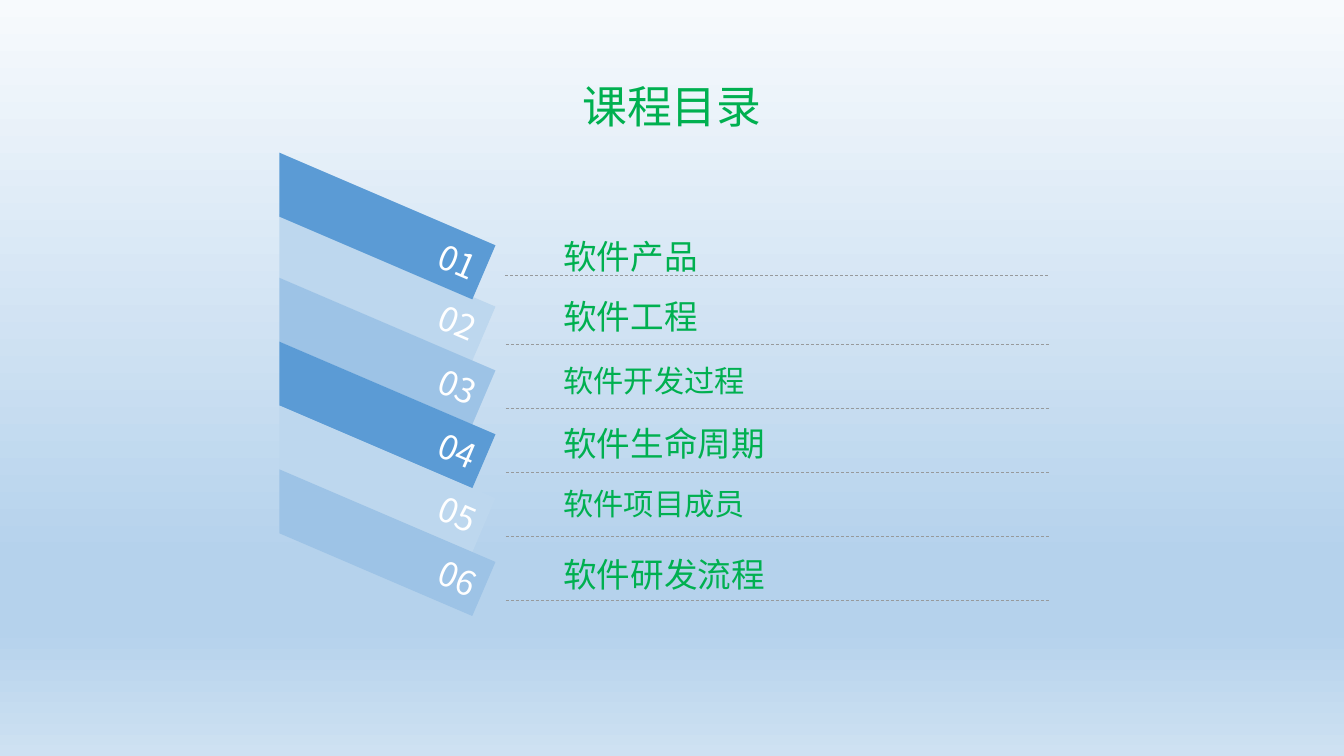
from lxml import etree
from pptx import Presentation
from pptx.dml.color import RGBColor
from pptx.enum.dml import MSO_LINE
from pptx.enum.shapes import MSO_CONNECTOR
from pptx.enum.text import MSO_ANCHOR, MSO_AUTO_SIZE, PP_ALIGN
from pptx.oxml.ns import qn
from pptx.util import Pt

STRAIGHT = MSO_CONNECTOR.STRAIGHT
DASH = MSO_LINE.DASH
MIDDLE = MSO_ANCHOR.MIDDLE
CENTER, LEFT, RIGHT = PP_ALIGN.CENTER, PP_ALIGN.LEFT, PP_ALIGN.RIGHT

# Content: topic, font size, box top, box height, line spacing, space before
TITLE = "课程目录"
TOPICS = [
    ("软件产品", 24, 160.6, 35.3, 1.3, 0),
    ("软件工程", 24, 198.7, 45.4, 1.3, 0),
    ("软件开发过程", 21.6, 246.2, 43.2, 1.3, 0),
    ("软件生命周期", 24, 289.4, 45.4, 1.3, 0),
    ("软件项目成员", 21.6, 342, 35.3, 1.0, 5.4),
    ("软件研发流程", 24, 383, 45.4, 1.3, 0),
]

FONT = "Noto Sans CJK SC"
COLORS = {"text": "00B050", "number": "FFFFFF", "rule": "979A9C"}
BAND_COLORS = ["5B9BD5", "BDD7EE", "9DC3E6"]
BACKGROUND = [(0, "F7FAFD"), (74, "B5D2EC"), (83, "B5D2EC"), (100, "CEE1F2")]

# Layout: the first row sits apart, the others follow at an equal pitch
PITCH = 45.6
BAND_LEFT, BAND_WIDTH, BAND_HEIGHT, BAND_CUT, BAND_ANGLE = 184.4, 168, 42, 18, 23.2
BAND_TOPS = [140.4] + [184.2 + PITCH * row for row in range(5)]
RULE_WIDTH = 388.8
RULES = [(360.9, 196.6)] + [(361.4, 246.2 + PITCH * row) for row in range(5)]
TOPIC_LEFT, TOPIC_WIDTH = 395.3, 390.2


def rgb(value):
    return RGBColor.from_string(value)


def write(shape, text, size, color, alignment):
    frame = shape.text_frame
    frame.word_wrap = True
    frame.auto_size = MSO_AUTO_SIZE.NONE
    frame.vertical_anchor = MIDDLE
    paragraph = frame.paragraphs[0]
    paragraph.text = text
    paragraph.alignment = alignment
    font = paragraph.font
    font.size = Pt(size)
    font.color.rgb = rgb(color)
    font.name = FONT
    properties = paragraph._p.get_or_add_pPr().find(qn("a:defRPr"))
    etree.SubElement(properties, qn("a:ea"), typeface=FONT)
    return paragraph


def add_band(slide, row):
    top = BAND_TOPS[row]
    right, bottom = BAND_LEFT + BAND_WIDTH, top + BAND_HEIGHT
    builder = slide.shapes.build_freeform(Pt(BAND_LEFT), Pt(top))
    builder.add_line_segments([
        (Pt(right), Pt(top)),
        (Pt(right), Pt(bottom)),
        (Pt(BAND_LEFT + BAND_CUT), Pt(bottom)),
    ])
    band = builder.convert_to_shape()
    band.rotation = BAND_ANGLE
    band.shadow.inherit = False
    band.fill.solid()
    band.fill.fore_color.rgb = rgb(BAND_COLORS[row % len(BAND_COLORS)])
    band.line.fill.background()
    write(band, f"{row + 1:02d}", 24, COLORS["number"], RIGHT)
    band.text_frame.margin_left = Pt(20)


def add_topic(slide, row):
    text, size, top, height, spacing, before = TOPICS[row]
    box = slide.shapes.add_textbox(Pt(TOPIC_LEFT), Pt(top), Pt(TOPIC_WIDTH), Pt(height))
    paragraph = write(box, text, size, COLORS["text"], LEFT)
    paragraph.line_spacing = spacing
    paragraph.space_before = Pt(before)

    left, y = RULES[row]
    rule = slide.shapes.add_connector(STRAIGHT, Pt(left), Pt(y), Pt(left + RULE_WIDTH), Pt(y))
    rule.line.color.rgb = rgb(COLORS["rule"])
    rule.line.width = Pt(0.5)
    rule.line.dash_style = DASH
    etree.SubElement(rule._element.spPr, qn("a:effectLst"))


presentation = Presentation()
presentation.slide_width, presentation.slide_height = Pt(960), Pt(540)
slide = presentation.slides.add_slide(presentation.slide_layouts[5])

# Background gradient, top to bottom
fill = slide.background.fill
fill.gradient()
fill.gradient_angle = 270
stops = next(slide._element.iter(qn("a:gsLst")))
for stop in list(stops):
    stops.remove(stop)
for position, color in BACKGROUND:
    stop = etree.SubElement(stops, qn("a:gs"), pos=str(position * 1000))
    etree.SubElement(stop, qn("a:srgbClr"), val=color)

# Title
title = slide.shapes.title
title.left, title.top, title.width, title.height = Pt(174), Pt(52.6), Pt(612), Pt(46)
write(title, TITLE, 32, COLORS["text"], CENTER)

# Numbered bands, the first one on top
for row in [1, 2, 3, 4, 5, 0]:
    add_band(slide, row)

# Topics with dashed rules
for row in range(len(TOPICS)):
    add_topic(slide, row)

presentation.save("out.pptx")
